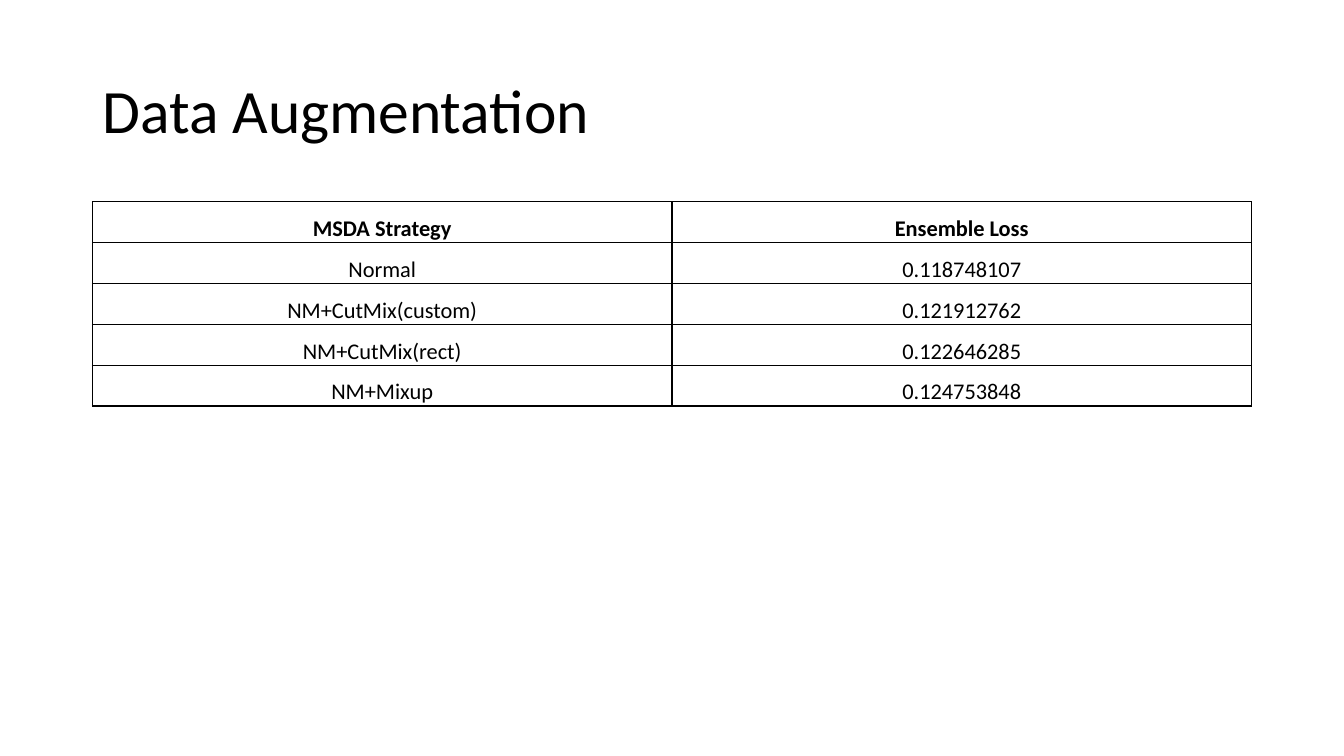
from lxml.etree import SubElement
from pptx import Presentation
from pptx.dml.color import RGBColor
from pptx.enum.text import MSO_ANCHOR as Anchor, PP_ALIGN as Align
from pptx.oxml.ns import qn
from pptx.util import Cm, Pt

BLACK = RGBColor(0x00, 0x00, 0x00)
LEFT, WIDTH = Cm(2.33), Cm(29.21)
ROW_HEIGHT = Cm(1.03)
LOSSES = [
    ("MSDA Strategy", "Ensemble Loss"),
    ("Normal", "0.118748107"),
    ("NM+CutMix(custom)", "0.121912762"),
    ("NM+CutMix(rect)", "0.122646285"),
    ("NM+Mixup", "0.124753848"),
]


class SlideBuilder:
    """Holds the text style and the current slide."""

    def __init__(self, page, font_name="Calibri", color=BLACK):
        """Keep the slide and its shared style."""
        self.page = page
        self.font_name = font_name
        self.color = color

    def style(self, para, size, bold=False):
        """Set the font of a whole paragraph."""
        para.font.name = self.font_name
        para.font.size = Pt(size)
        para.font.bold = bold
        para.font.color.rgb = self.color

    def title(self, text, left, top, width, height):
        """Add the heading, centred vertically in its box."""
        box = self.page.shapes.add_textbox(left, top, width, height)
        frame = box.text_frame
        frame.word_wrap = True
        frame.vertical_anchor = Anchor.MIDDLE
        para = frame.paragraphs[0]
        para.text = text
        para.line_spacing = 0.9
        self.style(para, 44)

    def border(self, cell, width=Pt(1)):
        """Draw a solid line on all four sides of a cell."""
        properties = cell._tc.get_or_add_tcPr()
        for position, side in enumerate(("lnL", "lnR", "lnT", "lnB")):
            line = properties.makeelement(qn(f"a:{side}"), {"w": str(width)})
            properties.insert(position, line)
            fill = SubElement(line, qn("a:solidFill"))
            SubElement(fill, qn("a:srgbClr"), val=str(self.color))

    def table(self, rows, left, top, width, row_height):
        """Add a ruled table whose first row is bold."""
        frame = self.page.shapes.add_table(
            len(rows), len(rows[0]), left, top, width, row_height * len(rows))
        table = frame.table
        table.horz_banding = False
        for row_number, values in enumerate(rows):
            for column_number, value in enumerate(values):
                cell = table.cell(row_number, column_number)
                cell.fill.background()
                cell.vertical_anchor = Anchor.BOTTOM
                cell.margin_left = cell.margin_right = cell.margin_top = Cm(0.03)
                cell.margin_bottom = 0
                para = cell.text_frame.paragraphs[0]
                para.text = value
                para.alignment = Align.CENTER
                self.style(para, 16, bold=row_number == 0)
                self.border(cell)


def main():
    """Build the slide and save it."""
    deck = Presentation()
    deck.slide_width, deck.slide_height = Cm(33.87), Cm(19.05)
    builder = SlideBuilder(deck.slides.add_slide(deck.slide_layouts[6]))
    builder.title("Data Augmentation", LEFT, Cm(1.01), WIDTH, Cm(3.68))
    builder.table(LOSSES, LEFT, Cm(5.08), WIDTH, ROW_HEIGHT)
    deck.save("out.pptx")


main()
